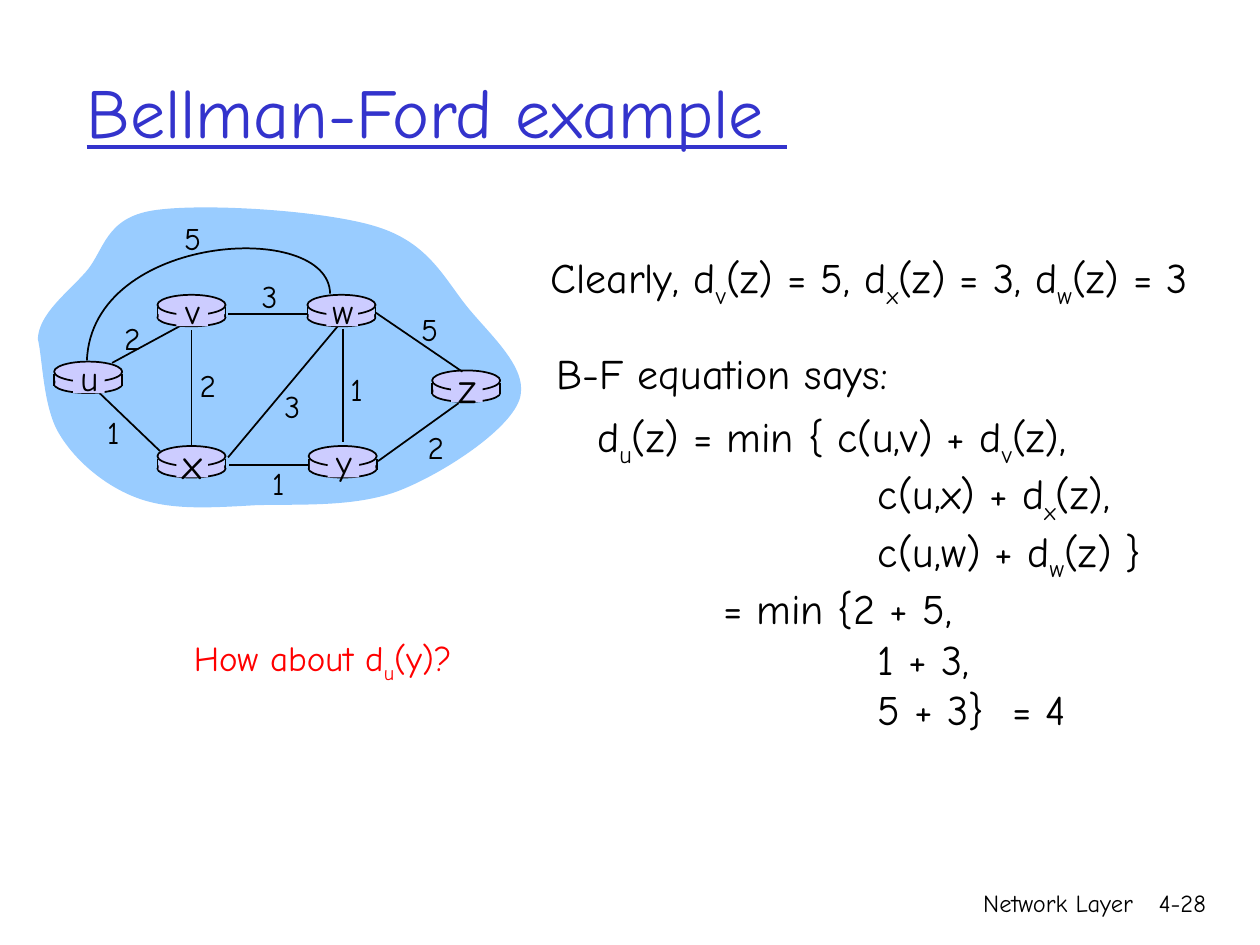
from lxml import etree
from pptx import Presentation
from pptx.dml.color import RGBColor
from pptx.enum.shapes import MSO_CONNECTOR, MSO_SHAPE
from pptx.enum.text import MSO_ANCHOR, PP_ALIGN
from pptx.oxml.ns import qn
from pptx.util import Inches, Pt

STRAIGHT = MSO_CONNECTOR.STRAIGHT
OVAL, RECT = MSO_SHAPE.OVAL, MSO_SHAPE.RECTANGLE
TOP, MIDDLE = MSO_ANCHOR.TOP, MSO_ANCHOR.MIDDLE
LEFT, CENTER, RIGHT = PP_ALIGN.LEFT, PP_ALIGN.CENTER, PP_ALIGN.RIGHT

FONT = "Comic Neue"
COLORS = {"title": "3333CC", "cloud": "99CCFF", "router": "CCCCFF",
          "ink": "000000", "question": "FF0000"}

TITLE = "Bellman-Ford example "
FOOTERS = [("Network Layer", 5.92, 3.17), ("4-28", 8.93, 0.74)]
DISTANCES = "Clearly, d_v(z) = 5, d_x(z) = 3, d_w(z) = 3"
INTRO = "B-F equation says:"
QUESTION = "How about d_u(y)?"
EQUATION = [
    ("d_u(z) = min { c(u,v) + d_v(z),", 0),
    ("c(u,x) + d_x(z),", 2.23),
    ("c(u,w) + d_w(z) }", 2.23),
    ("= min {2 + 5,", 1),
    ("1 + 3,", 2.23),
    ("5 + 3}  = 4", 2.23),
]

ROUTERS = [("u", 0.43, 2.87, 20), ("x", 1.25, 3.54, 24), ("v", 1.25, 2.34, 20),
           ("w", 2.44, 2.34, 20), ("y", 2.45, 3.54, 20), ("z", 3.43, 2.94, 24)]
LINK_UV = (0.89, 2.88, 1.48, 2.56)
LINKS = [
    (2.72, 2.61, 2.72, 3.51), (1.52, 2.62, 1.52, 3.55),
    (1.81, 3.63, 2.68, 2.59), (3, 3.66, 3.64, 3.2),
    (2.45, 3.69, 1.82, 3.69), (1.27, 3.58, 0.79, 3.12),
    (2.44, 2.49, 1.81, 2.49), (3.67, 2.95, 2.98, 2.48),
]
COSTS = [("2", 1.05, 2.48), ("2", 1.65, 2.86), ("1", 0.9, 3.23), ("3", 2.32, 3.02),
         ("1", 2.21, 3.63), ("1", 2.83, 2.89), ("2", 3.46, 3.35), ("5", 3.41, 2.41),
         ("3", 2.14, 2.15), ("5", 1.53, 1.69)]

CLOUD = [
    (0.3, 2.69), (0.31, 2.49), (0.53, 2.33), (0.68, 2.16),
    (0.83, 1.99), (0.83, 1.73), (1.22, 1.67),
    (1.61, 1.61), (2.58, 1.67), (2.99, 1.8),
    (3.41, 1.93), (3.53, 2.22), (3.72, 2.45),
    (3.91, 2.68), (4.21, 2.94), (4.12, 3.18),
    (4.03, 3.42), (3.53, 3.75), (3.18, 3.89),
    (2.83, 4.03), (2.37, 4), (2.03, 4.01),
    (1.68, 4.03), (1.37, 4.05), (1.11, 3.96),
    (0.85, 3.87), (0.61, 3.67), (0.48, 3.46),
    (0.34, 3.25), (0.34, 2.85), (0.3, 2.69),
]
LINK_UW = [(2.62, 2.33), (2.61, 1.74), (0.73, 1.85), (0.69, 2.86)]

prs = Presentation()
prs.slide_width, prs.slide_height = Inches(10), Inches(7.5)
slide = prs.slides.add_slide(prs.slide_layouts[6])
shapes = slide.shapes


def rgb(name):
    return RGBColor.from_string(COLORS[name])


def paint(s, fill=None, line=None):
    s.shadow.inherit = False
    if fill:
        s.fill.solid()
        s.fill.fore_color.rgb = rgb(fill)
    else:
        s.fill.background()
    if line:
        s.line.color.rgb = rgb(line)
        s.line.width = Pt(1)
    else:
        s.line.fill.background()


def add_text(text, x, y, w, h, size=24, color="ink", align=LEFT, anchor=TOP,
             underline=None):
    tf = shapes.add_textbox(Inches(x), Inches(y), Inches(w), Inches(h)).text_frame
    tf.word_wrap = True
    tf.vertical_anchor = anchor
    lines = [(text, 0)] if isinstance(text, str) else text
    for i, (line, indent) in enumerate(lines):
        p = tf.paragraphs[0] if i == 0 else tf.add_paragraph()
        p.alignment = align
        if indent:
            p._p.get_or_add_pPr().set("marL", str(Inches(indent)))
        first, *rest = line.split("_")
        pieces = [(first, False)]
        for part in rest:
            pieces += [(part[0], True), (part[1:], False)]
        for piece, subscript in pieces:
            r = p.add_run()
            r.text = piece
            r.font.name, r.font.size = FONT, Pt(size)
            r.font.color.rgb = rgb(color)
            r.font.underline = underline
            if subscript:
                r._r.get_or_add_rPr().set("baseline", "-25000")


def add_preset(kind, x, y, w, h, line=None):
    s = shapes.add_shape(kind, Inches(x), Inches(y), Inches(w), Inches(h))
    paint(s, "router", line)


def add_line(x1, y1, x2, y2):
    c = shapes.add_connector(STRAIGHT, Inches(x1), Inches(y1), Inches(x2), Inches(y2))
    c.line.color.rgb = rgb("ink")
    c.line.width = Pt(1)
    etree.SubElement(c._element.spPr, qn("a:effectLst"))


def add_curve(points, close, fill=None, line=None):
    start, *rest = [(Inches(x), Inches(y)) for x, y in points]
    builder = shapes.build_freeform(*start)
    builder.add_line_segments(rest, close=close)
    s = builder.convert_to_shape()
    segments = list(s._element.iter(qn("a:lnTo")))
    for i in range(0, len(segments), 3):
        curve = etree.Element(qn("a:cubicBezTo"))
        segments[i].addprevious(curve)
        for segment in segments[i:i + 3]:
            curve.append(segment[0])
            segment.getparent().remove(segment)
    paint(s, fill, line)


def add_router(x, y):
    w = 0.54
    add_preset(OVAL, x, y + 0.11, w, 0.14, line="ink")
    for side in (x, x + w):
        add_line(side, y + 0.1, side, y + 0.19)
    add_preset(RECT, x + 0.01, y + 0.1, w - 0.02, 0.09)
    add_preset(OVAL, x, y, w, 0.16, line="ink")


for text, x, w in FOOTERS:
    add_text(text, x, 7, w, 0.5, size=14, align=RIGHT)
add_text(TITLE, 0.59, 0.25, 8.5, 1.25, size=40, color="title", anchor=MIDDLE,
         underline=True)

add_curve(CLOUD, close=True, fill="cloud")
add_line(*LINK_UV)
for name, x, y, size in ROUTERS:
    add_router(x, y)
for link in LINKS:
    add_line(*link)
add_curve(LINK_UW, close=False, line="ink")
for name, x, y, size in ROUTERS:
    add_preset(RECT, x + 0.15, y + 0.02, 0.25, 0.23)
    h = 0.44 if size == 20 else 0.5
    add_text(name, x + 0.1, y + 0.13 - h / 2, 0.36, h, size=size, align=CENTER)
for cost, center, y in COSTS:
    add_text(cost, center - 0.17, y, 0.34, 0.4, size=18, align=CENTER)

add_text(DISTANCES, 4.27, 1.95, 5.4, 0.56)
add_text(EQUATION, 4.64, 3.21, 4.7, 2.67)
add_text(INTRO, 4.32, 2.71, 2.95, 0.5)
add_text(QUESTION, 1.44, 5, 2.4, 0.48, size=20, color="question")

prs.save("out.pptx")
